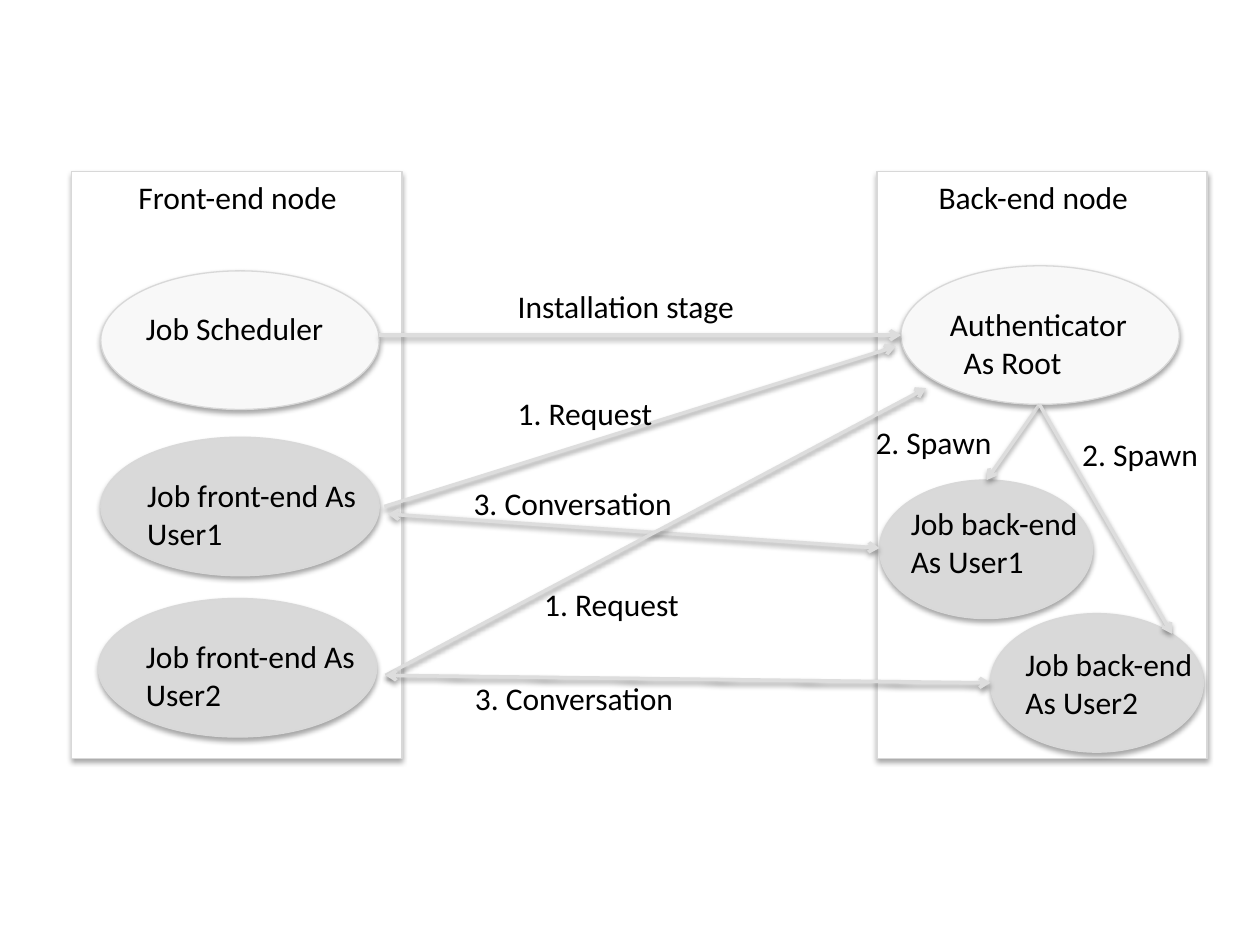
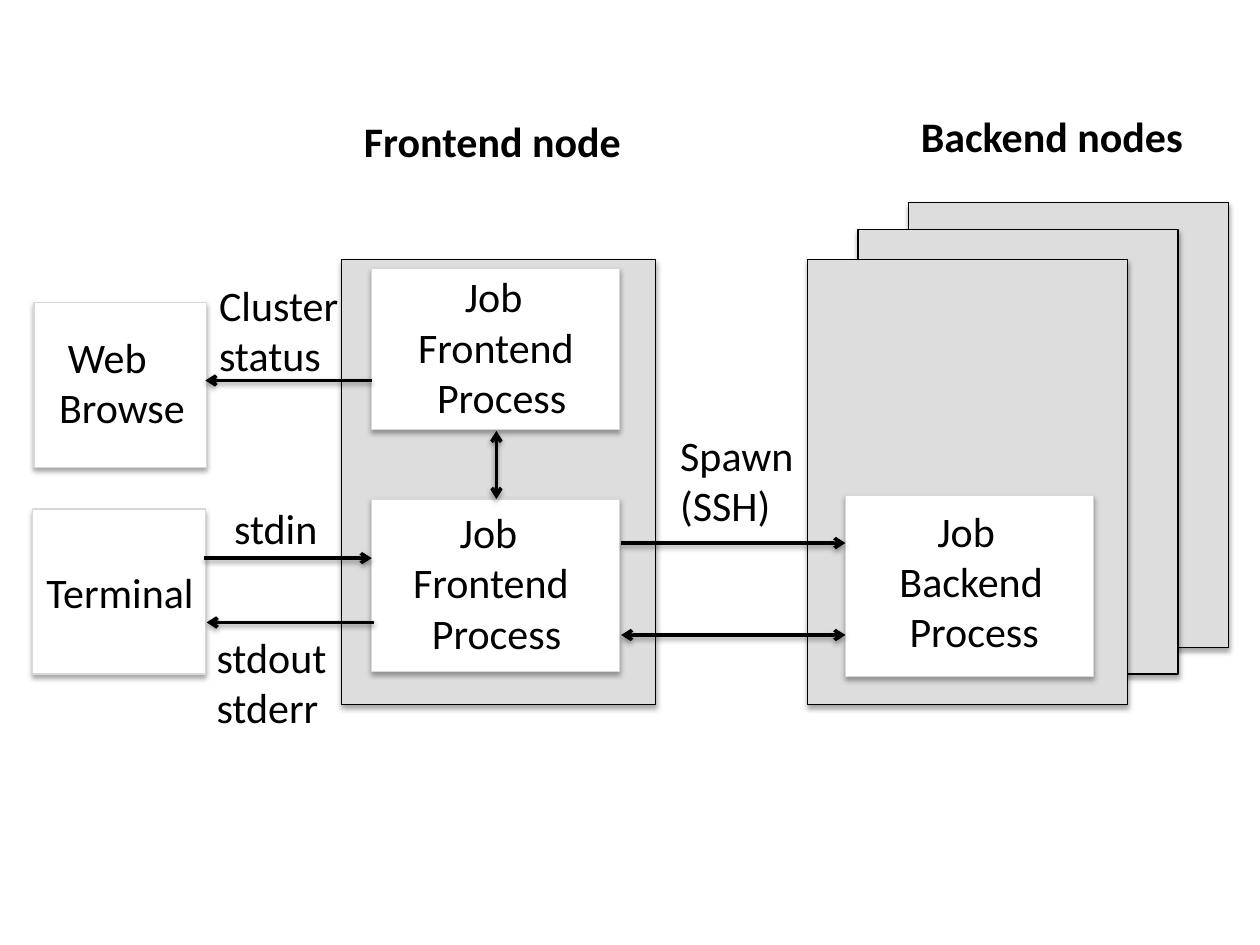
from lxml.etree import SubElement
from pptx import Presentation
from pptx.dml.color import RGBColor
from pptx.enum.shapes import MSO_CONNECTOR, MSO_SHAPE
from pptx.enum.text import MSO_AUTO_SIZE
from pptx.oxml.ns import qn
from pptx.util import Inches, Pt

# Shared look
FONT = "Calibri"
BLACK, WHITE = "000000", "FFFFFF"
EDGE, NODE_GREY, ARROW_GREY = "D8D8D8", "DDDDDD", "DDDDDD"
ROOT_FILL, USER_FILL = "F8F8F8", "D9D9D9"

# Slide 1: authentication between two nodes
NODE_TOP, NODE_WIDTH, NODE_HEIGHT = 1.36, 2.62, 4.66
NODE_LEFTS = [0.57, 6.96]
ELLIPSE_HEIGHT = 1.1
WIDE, NARROW = 2.21, 1.69
ellipses = [  # left, top, width, fill
    (0.8, 2.15, WIDE, ROOT_FILL),
    (7.15, 2.11, WIDE, ROOT_FILL),
    (0.8, 3.47, WIDE, USER_FILL),
    (0.78, 4.75, WIDE, USER_FILL),
    (6.98, 3.81, NARROW, USER_FILL),
    (7.86, 4.87, NARROW, USER_FILL),
]
authentication_arrows = [  # start, end, arrowhead at both ends
    ((3.01, 2.66), (7.15, 2.66), False),
    ((3.05, 4.02), (7.11, 2.75), False),
    ((8.25, 3.21), (7.83, 3.81), False),
    ((6.98, 4.35), (3.08, 4.08), True),
    ((3.06, 5.36), (7.35, 3.08), False),
    ((8.25, 3.21), (9.3, 5.03), False),
    ((3.06, 5.36), (7.86, 5.42), True),
]
authentication_labels = [  # left, top, width, lines
    (1, 1.36, 2.01, ["Front-end node"]),
    (7.35, 1.36, 2.01, ["Back-end node"]),
    (1.06, 2.4, 2.01, ["Job Scheduler"]),
    (7.44, 2.37, 1.67, ["Authenticator", ("As Root", 0.11)]),
    (1.07, 3.73, 2.01, ["Job front-end As User1"]),
    (1.06, 5.01, 2.01, ["Job front-end As User2"]),
    (7.13, 3.95, 1.59, ["Job back-end As User1"]),
    (8.04, 5.07, 1.64, ["Job back-end As User2"]),
    (4.01, 2.23, 2.01, ["Installation stage"]),
    (4.01, 3.08, 1.78, ["1. Request"]),
    (4.22, 4.59, 1.78, ["1. Request"]),
    (6.85, 3.31, 1.78, ["2. Spawn"]),
    (8.49, 3.4, 1.45, ["2. Spawn"]),
    (3.66, 3.79, 2.89, ["3. Conversation"]),
    (3.67, 5.34, 2.89, ["3. Conversation"]),
]

# Slide 2: processes and their streams
FRAME_HEIGHT = 3.53
frames = [  # left, top, width; the back-end stack runs from back to front
    (2.71, 2.06, 2.49),
    (7.21, 1.61, 2.54),
    (6.81, 1.82, 2.54),
    (6.41, 2.06, 2.54),
]
process_boxes = [  # left, top, width, height
    (6.71, 3.93, 1.97, 1.44),
    (2.95, 3.96, 1.97, 1.37),
    (2.95, 2.13, 1.97, 1.28),
    (0.27, 2.4, 1.37, 1.31),
    (0.26, 4.04, 1.37, 1.31),
]
stream_arrows = [
    ((4.93, 4.31), (6.71, 4.31), False),
    ((4.93, 5.04), (6.71, 5.04), True),
    ((3.94, 3.42), (3.94, 3.96), True),
    ((2.95, 3.02), (1.63, 3.02), False),
    ((2.97, 4.94), (1.64, 4.94), False),
    ((1.62, 4.43), (2.95, 4.43), False),
]
node_titles = [
    (2.79, 0.87, 2.82, ["Frontend node"]),
    (7.21, 0.83, 2.75, ["Backend nodes"]),
]
frontend_process = [("Job", 0.37), "Frontend", ("Process", 0.15)]
backend_process = [("Job", 0.37), ("Backend", 0.07), ("Process", 0.15)]
stream_labels = [
    (6.97, 3.96, 1.71, backend_process),
    (3.18, 3.97, 1.71, frontend_process),
    (3.22, 2.1, 1.71, frontend_process),
    (0.37, 2.58, 1.71, [("Web", 0.07), "Browse"]),
    (0.27, 4.45, 1.71, ["Terminal"]),
    (5.3, 3.36, 2.89, ["Spawn", "(SSH)"]),
    (1.64, 2.17, 2.89, ["Cluster", "status"]),
    (1.62, 4.96, 2.89, ["stdout", "stderr"]),
    (1.76, 3.94, 2.89, ["stdin"]),
]


def color(value):
    return RGBColor.from_string(value)


def add_shadow(effects, distance, opacity):
    shadow = SubElement(effects, qn("a:outerShdw"), blurRad=str(Pt(3.1)),
                        dist=str(Pt(distance)), dir="5400000", rotWithShape="0")
    black = SubElement(shadow, qn("a:srgbClr"), val=BLACK)
    SubElement(black, qn("a:alpha"), val=str(opacity * 1000))


def add_box(slide, kind, left, top, width, height, fill, line=EDGE):
    shape = slide.shapes.add_shape(kind, Inches(left), Inches(top),
                                   Inches(width), Inches(height))
    shape.fill.solid()
    shape.fill.fore_color.rgb = color(fill)
    shape.line.color.rgb = color(line)
    shape.line.width = Pt(0.75)
    shape.shadow.inherit = False
    add_shadow(shape._element.spPr.find(qn("a:effectLst")), 1.8, 35)


def add_arrow(slide, start, end, both_ends, line):
    connector = slide.shapes.add_connector(
        MSO_CONNECTOR.STRAIGHT, *[Inches(value) for value in start + end])
    connector.line.color.rgb = color(line)
    connector.line.width = Pt(2)
    outline = connector.line._get_or_add_ln()
    for tag in ["a:headEnd", "a:tailEnd"] if both_ends else ["a:tailEnd"]:
        SubElement(outline, qn(tag), type="arrow")
    effects = SubElement(connector._element.spPr, qn("a:effectLst"))
    add_shadow(effects, 1.6, 38)


def add_text(slide, lines, left, top, width, size, bold=False):
    height = 0.1 + len(lines) * size * 1.22 / 72
    box = slide.shapes.add_textbox(Inches(left), Inches(top),
                                   Inches(width), Inches(height))
    frame = box.text_frame
    frame.word_wrap = True
    frame.auto_size = MSO_AUTO_SIZE.SHAPE_TO_FIT_TEXT
    for index, line in enumerate(lines):
        text, indent = (line, 0) if isinstance(line, str) else line
        paragraph = frame.add_paragraph() if index else frame.paragraphs[0]
        if indent:
            paragraph._p.get_or_add_pPr().set("marL", str(Inches(indent)))
        run = paragraph.add_run()
        run.text = text
        run.font.name = FONT
        run.font.size = Pt(size)
        run.font.bold = bold
        run.font.color.rgb = color(BLACK)


def add_labels(slide, labels, **text_format):
    for left, top, width, lines in labels:
        add_text(slide, lines, left, top, width, **text_format)


presentation = Presentation()
presentation.slide_width, presentation.slide_height = Inches(10), Inches(7.5)
blank = presentation.slide_layouts[6]

# Authentication slide
slide = presentation.slides.add_slide(blank)
for left in NODE_LEFTS:
    add_box(slide, MSO_SHAPE.RECTANGLE, left, NODE_TOP, NODE_WIDTH, NODE_HEIGHT, WHITE)
for left, top, width, fill in ellipses:
    add_box(slide, MSO_SHAPE.OVAL, left, top, width, ELLIPSE_HEIGHT, fill)
for arrow in authentication_arrows:
    add_arrow(slide, *arrow, ARROW_GREY)
add_labels(slide, authentication_labels, size=18)

# Streams slide
slide = presentation.slides.add_slide(blank)
for left, top, width in frames:
    add_box(slide, MSO_SHAPE.RECTANGLE, left, top, width, FRAME_HEIGHT, NODE_GREY, BLACK)
for box in process_boxes:
    add_box(slide, MSO_SHAPE.RECTANGLE, *box, WHITE)
for arrow in stream_arrows:
    add_arrow(slide, *arrow, BLACK)
add_labels(slide, node_titles, size=24, bold=True)
add_labels(slide, stream_labels, size=24)

presentation.save("out.pptx")
